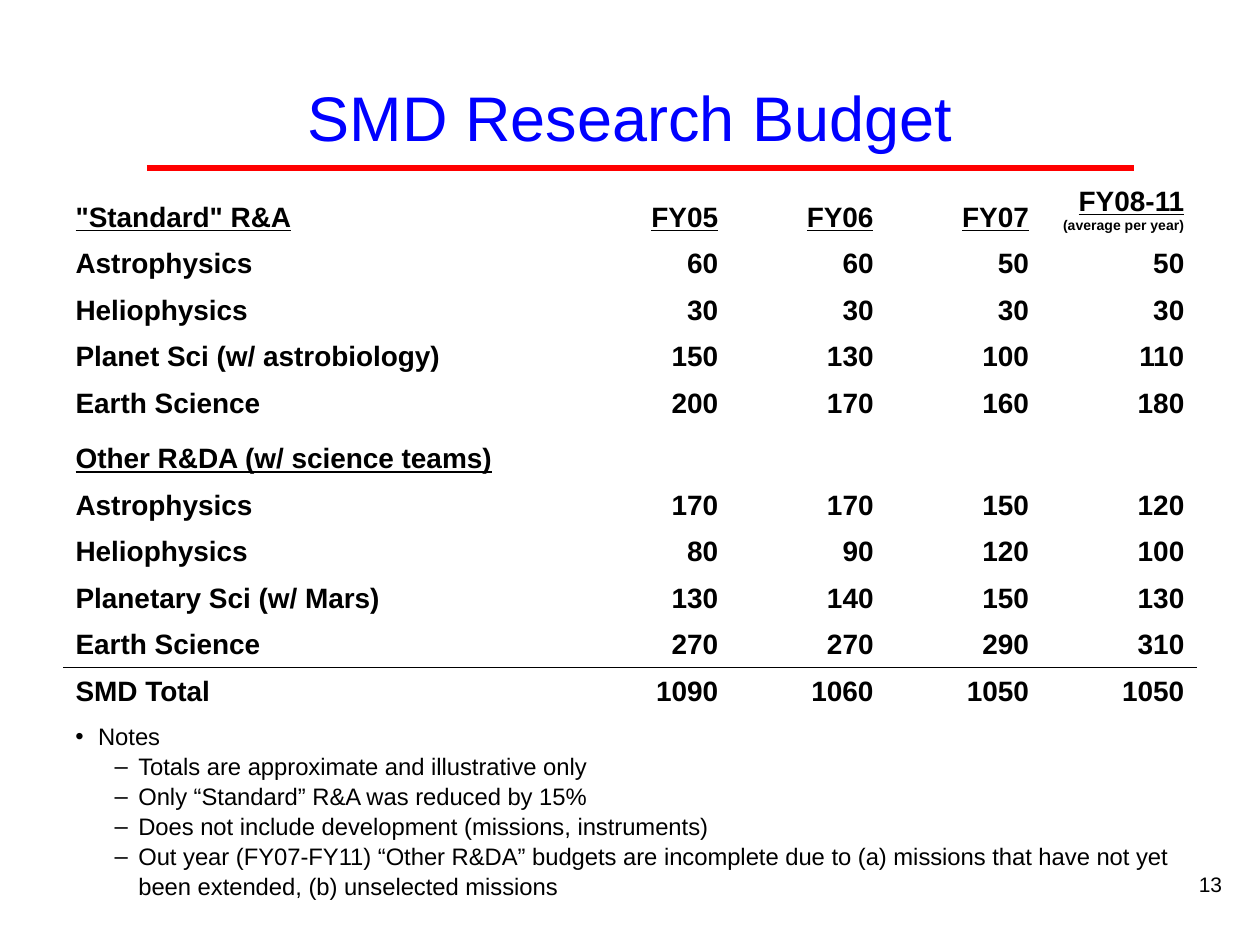
from dataclasses import dataclass

from lxml import etree
from pptx import Presentation
from pptx.dml.color import RGBColor
from pptx.enum.shapes import MSO_CONNECTOR
from pptx.enum.text import MSO_ANCHOR, MSO_AUTO_SIZE, PP_ALIGN
from pptx.oxml.ns import qn
from pptx.util import Pt

LEFT, CENTER, RIGHT = PP_ALIGN.LEFT, PP_ALIGN.CENTER, PP_ALIGN.RIGHT
TOP, MIDDLE, BOTTOM = MSO_ANCHOR.TOP, MSO_ANCHOR.MIDDLE, MSO_ANCHOR.BOTTOM
NO_GRID = "{2D5ABB26-0587-4C30-8999-92F81FD0307C}"


@dataclass(frozen=True)
class Theme:
    font: str = "Arial"
    text: str = "000000"
    title: str = "0000FF"
    rule: str = "FF0000"
    title_size: float = 36
    table_size: float = 16
    small_size: float = 8
    bullet_size: float = 13.6
    number_size: float = 12


T = Theme()
YEARS = ["FY05", "FY06", "FY07", "FY08-11\n(average per year)"]
ROWS = [
    ['"Standard" R&A', *YEARS],
    ["Astrophysics", 60, 60, 50, 50],
    ["Heliophysics", 30, 30, 30, 30],
    ["Planet Sci (w/ astrobiology)", 150, 130, 100, 110],
    ["Earth Science", 200, 170, 160, 180],
    ["Other R&DA (w/ science teams)"],
    ["Astrophysics", 170, 170, 150, 120],
    ["Heliophysics", 80, 90, 120, 100],
    ["Planetary Sci (w/ Mars)", 130, 140, 150, 130],
    ["Earth Science", 270, 270, 290, 310],
    ["SMD Total", 1090, 1060, 1050, 1050],
]
HEADING_HEIGHTS = {0: 36, 5: 31.6}
ROW_HEIGHT = 26.6
TABLE_WIDTH, YEAR_WIDTH = 648, 88.8
TOTAL_ROW = len(ROWS) - 1
REMARKS = [
    (0, "Notes"),
    (1, "Totals are approximate and illustrative only"),
    (1, "Only “Standard” R&A was reduced by 15%"),
    (1, "Does not include development (missions, instruments)"),
    (1, "Out year (FY07-FY11) “Other R&DA” budgets are incomplete due to "
        "(a) missions that have not yet been extended, (b) unselected missions"),
]
BULLETS = [("•", 13, -13), ("–", 36, -13.5)]


def set_attrs(obj, **values):
    for name, value in values.items():
        setattr(obj, name, value)


def indent(p, left, first):
    pPr = p._p.get_or_add_pPr()
    pPr.set("marL", str(Pt(left)))
    pPr.set("indent", str(Pt(first)))
    return pPr


def add_text(p, text, size, color=T.text, align=LEFT, **font):
    p.alignment = align
    r = p.add_run()
    r.text = text
    set_attrs(r.font, name=T.font, size=Pt(size), **font)
    r.font.color.rgb = RGBColor.from_string(color)


def frame(sp, anchor=TOP):
    tf = sp.text_frame
    set_attrs(tf, word_wrap=True, auto_size=MSO_AUTO_SIZE.NONE, vertical_anchor=anchor)
    return tf


def add_box(s, x, y, w, h):
    return frame(s.shapes.add_textbox(Pt(x), Pt(y), Pt(w), Pt(h)))


def add_title(s, text):
    sp = s.shapes.title
    set_attrs(sp, left=Pt(36), top=Pt(21.6), width=Pt(648), height=Pt(90))
    add_text(frame(sp, MIDDLE).paragraphs[0], text, T.title_size, T.title, CENTER)


def add_rule(s, x1, x2, y):
    ln = s.shapes.add_connector(MSO_CONNECTOR.STRAIGHT, Pt(x1), Pt(y), Pt(x2), Pt(y))
    ln.line.width = Pt(3)
    ln.line.color.rgb = RGBColor.from_string(T.rule)
    etree.SubElement(ln._element.spPr, qn("a:effectLst"))


def add_border(cell, side):
    ln = etree.Element(qn(f"a:{side}"), w=str(Pt(0.45)))
    fill = etree.SubElement(ln, qn("a:solidFill"))
    etree.SubElement(fill, qn("a:srgbClr"), val=T.text)
    cell._tc.get_or_add_tcPr().insert(0, ln)


def fill_cell(cell, text, align, heading):
    tf = cell.text_frame
    for i, line in enumerate(text.split("\n")):
        p = tf.add_paragraph() if i else tf.paragraphs[0]
        indent(p, 13, -13)
        size = T.small_size if i else T.table_size
        add_text(p, line, size, align=align, bold=True, underline=heading and i == 0)


def add_budget_table(s):
    n = len(ROWS[0])
    height = sum(HEADING_HEIGHTS.get(i, ROW_HEIGHT) for i in range(len(ROWS)))
    table = s.shapes.add_table(len(ROWS), n, Pt(36), Pt(100.8),
                               Pt(TABLE_WIDTH), Pt(height)).table
    set_attrs(table, first_row=False, horz_banding=False)
    table._tbl.tblPr.find(qn("a:tableStyleId")).text = NO_GRID
    for j, column in enumerate(table.columns):
        column.width = Pt(YEAR_WIDTH if j else TABLE_WIDTH - YEAR_WIDTH * (n - 1))
    for i, values in enumerate(ROWS):
        table.rows[i].height = Pt(HEADING_HEIGHTS.get(i, ROW_HEIGHT))
        for j in range(n):
            cell = table.cell(i, j)
            cell.fill.background()
            cell.vertical_anchor = BOTTOM
            if j < len(values):
                fill_cell(cell, str(values[j]), RIGHT if j else LEFT, i in HEADING_HEIGHTS)
            if i == TOTAL_ROW - 1:
                add_border(cell, "lnB")
            if i == TOTAL_ROW:
                add_border(cell, "lnT")


def add_remarks(s):
    tf = add_box(s, 36, 408.2, 648, 112.3)
    for i, (level, text) in enumerate(REMARKS):
        p = tf.add_paragraph() if i else tf.paragraphs[0]
        char, left, first = BULLETS[level]
        pPr = indent(p, left, first)
        color = etree.SubElement(pPr, qn("a:buClr"))
        etree.SubElement(color, qn("a:srgbClr"), val=T.text)
        etree.SubElement(pPr, qn("a:buFont"), typeface=T.font)
        etree.SubElement(pPr, qn("a:buChar"), char=char)
        set_attrs(p, level=level, line_spacing=1.05)
        add_text(p, text, T.bullet_size)


def main():
    prs = Presentation()
    set_attrs(prs, slide_width=Pt(720), slide_height=Pt(540))
    s = prs.slides.add_slide(prs.slide_layouts[5])
    add_title(s, "SMD Research Budget")
    add_rule(s, 84, 648, 96)
    add_budget_table(s)
    add_remarks(s)
    number = add_box(s, 636.5, 494.6, 69, 21.6)
    add_text(number.paragraphs[0], "13", T.number_size, align=RIGHT)
    prs.save("out.pptx")


if __name__ == "__main__":
    main()
